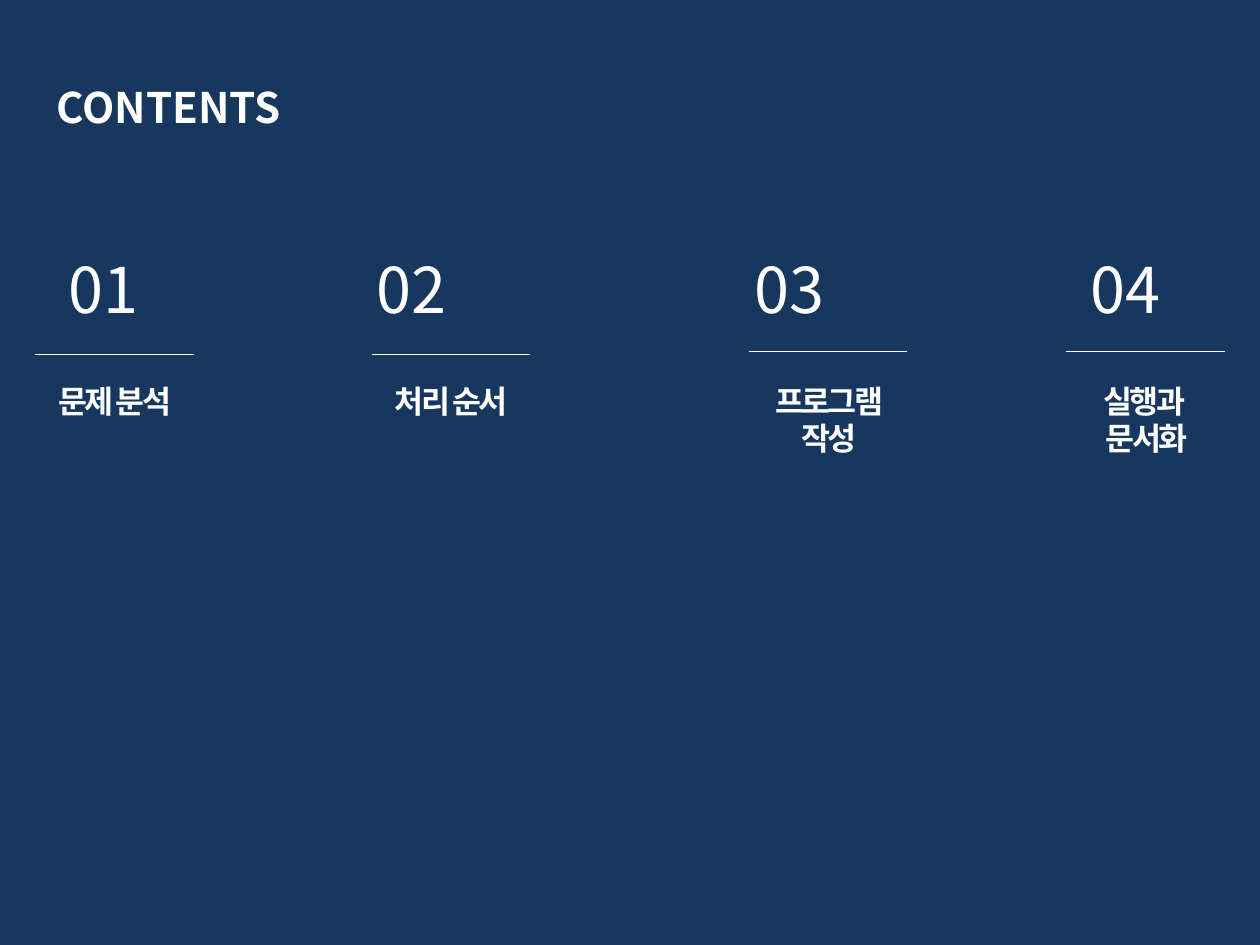
from dataclasses import dataclass

from lxml.etree import SubElement
from pptx import Presentation
from pptx.dml.color import RGBColor
from pptx.enum.shapes import MSO_CONNECTOR as Connector
from pptx.enum.text import MSO_AUTO_SIZE as AutoSize, PP_ALIGN as Align
from pptx.oxml.ns import qn
from pptx.util import Cm, Pt


@dataclass(frozen=True)
class Theme:
    background: RGBColor = RGBColor(0x17, 0x37, 0x5E)
    ink: RGBColor = RGBColor(0xFF, 0xFF, 0xFF)
    heading_font: str = "Noto Sans CJK KR"
    label_font: str = "Arial"
    title_size: Pt = Pt(24)
    number_size: Pt = Pt(36)
    label_size: Pt = Pt(18)
    rule_width: Pt = Pt(0.75)


theme = Theme()


def add_text_box(left, top, width, height):
    box = slide.shapes.add_textbox(Cm(left), Cm(top), Cm(width), Cm(height))
    box.text_frame.word_wrap = True
    box.text_frame.auto_size = AutoSize.SHAPE_TO_FIT_TEXT
    return box.text_frame


def add_run(paragraph, text, font_name, size, bold=False):
    run = paragraph.add_run()
    run.text = text
    run.font.name = font_name
    run.font.size = size
    run.font.bold = bold
    run.font.color.rgb = theme.ink
    return run


presentation = Presentation()
presentation.slide_width = Cm(25.4)
presentation.slide_height = Cm(19.05)
slide = presentation.slides.add_slide(presentation.slide_layouts[6])
slide.background.fill.solid()
slide.background.fill.fore_color.rgb = theme.background

title_frame = add_text_box(0.89, 1.52, 11.61, 1.24)
add_run(title_frame.paragraphs[0], "CONTENTS", theme.heading_font, theme.title_size, True)

number_frame = add_text_box(0.89, 4.93, 23.8, 1.8)
number_frame.margin_left = Cm(0.5)
number_paragraph = number_frame.paragraphs[0]
add_run(number_paragraph, "01\t02\t03\t04", theme.heading_font, theme.number_size)
tab_list = SubElement(number_paragraph._p.get_or_add_pPr(), qn("a:tabLst"))
for position in (6.2, 13.82, 20.6):
    SubElement(tab_list, qn("a:tab"), pos=str(Cm(position)), algn="l")

rule_length = 3.2
label_width = 3.05
sections = [
    (0.71, 7.14, 0.79, ["문제 분석"]),
    (7.49, 7.14, 7.57, ["처리 순서"]),
    (15.09, 7.09, 15.19, ["프로그램", "작성"]),
    (21.49, 7.09, 21.59, ["실행과 ", "문서화"]),
]
for rule_left, rule_top, label_left, label_lines in sections:
    rule = slide.shapes.add_connector(
        Connector.STRAIGHT,
        Cm(rule_left), Cm(rule_top), Cm(rule_left + rule_length), Cm(rule_top),
    )
    rule.line.color.rgb = theme.ink
    rule.line.width = theme.rule_width
    SubElement(rule._element.spPr, qn("a:effectLst"))

    label_height = 1.02 + 0.78 * (len(label_lines) - 1)
    label_frame = add_text_box(label_left, 7.57, label_width, label_height)
    for index, line in enumerate(label_lines):
        paragraph = label_frame.add_paragraph() if index else label_frame.paragraphs[0]
        paragraph.alignment = Align.CENTER
        run = add_run(paragraph, line, theme.label_font, theme.label_size, True)
        run.font._element.set("spc", "-150")

presentation.save("out.pptx")
